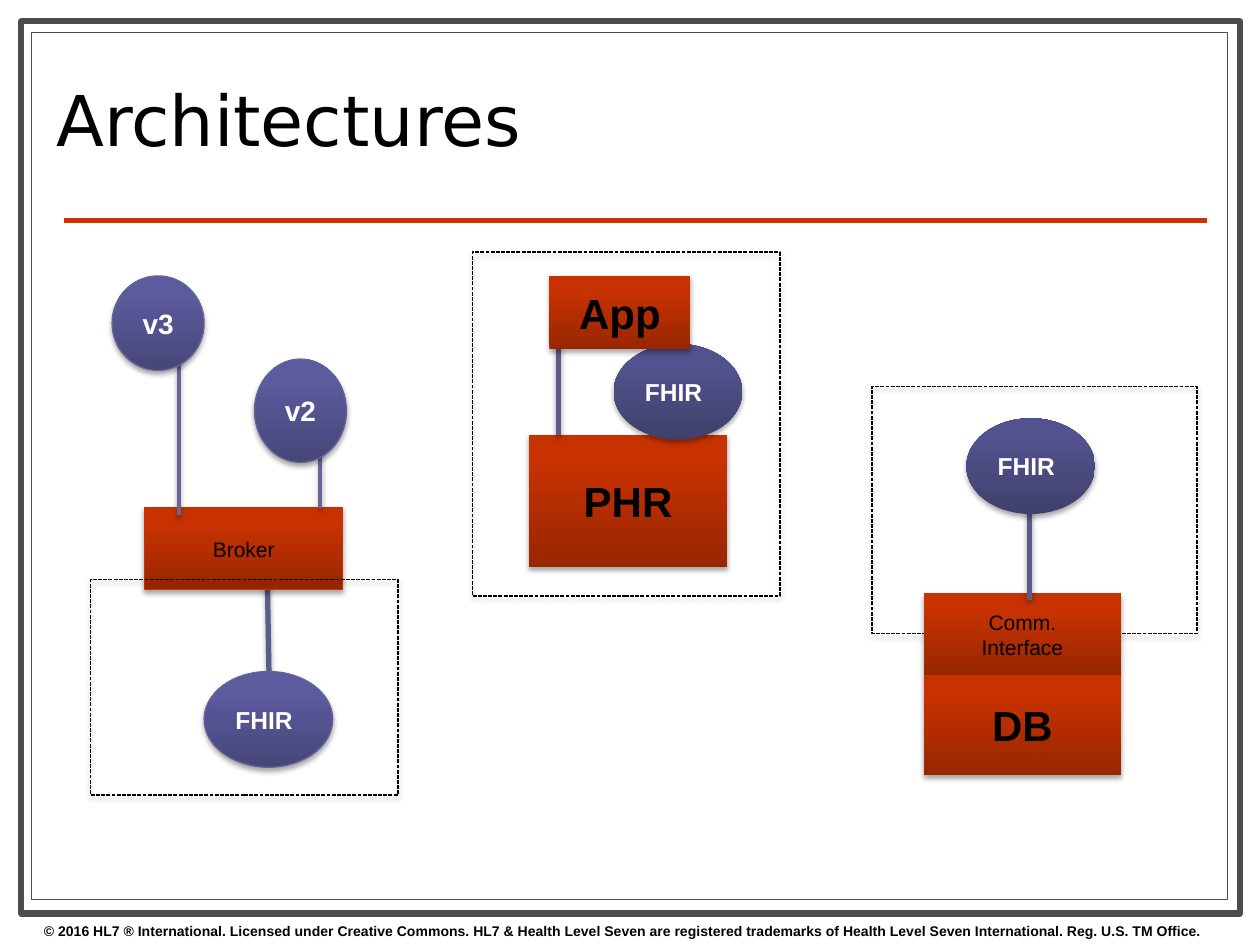
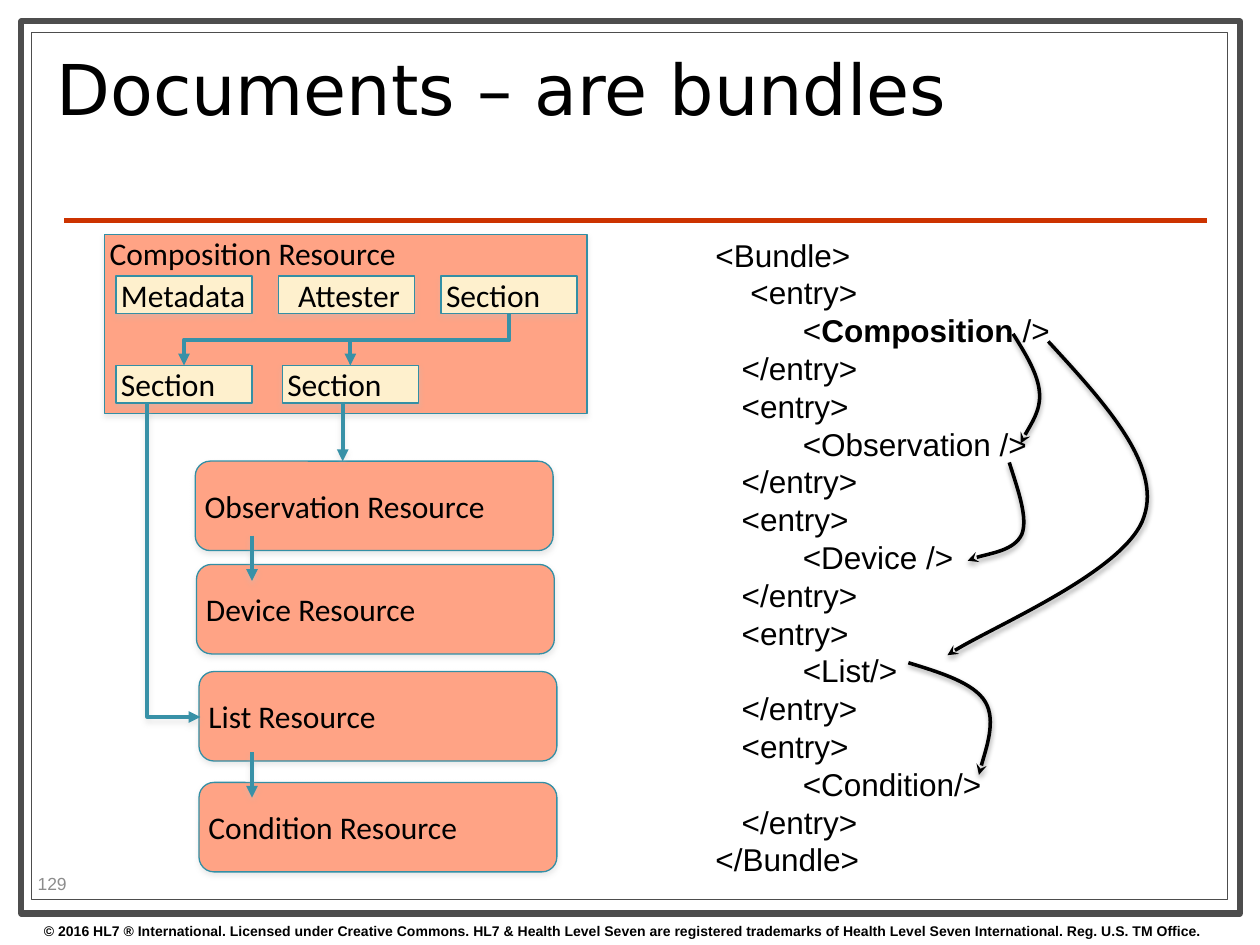
from lxml import etree
from pptx import Presentation
from pptx.dml.color import RGBColor
from pptx.enum.dml import MSO_LINE
from pptx.enum.shapes import MSO_CONNECTOR, MSO_SHAPE
from pptx.enum.text import MSO_ANCHOR, PP_ALIGN
from pptx.oxml.ns import qn
from pptx.util import Inches, Pt

RECT, ROUNDED, OVAL = MSO_SHAPE.RECTANGLE, MSO_SHAPE.ROUNDED_RECTANGLE, MSO_SHAPE.OVAL
STRAIGHT, ELBOW = MSO_CONNECTOR.STRAIGHT, MSO_CONNECTOR.ELBOW
TOP, MIDDLE = MSO_ANCHOR.TOP, MSO_ANCHOR.MIDDLE
LEFT, CENTER = PP_ALIGN.LEFT, PP_ALIGN.CENTER
DASH = MSO_LINE.SQUARE_DOT

BLACK, WHITE, FRAME, RULE = "000000", "FFFFFF", "4D4D4D", "CC3300"
RED = ("982600", "C73200")
BLUE = ("464678", "5B5B9E")
DARK_BLUE = ("40406C", "52528E")
BLUE_EDGE, RED_EDGE, LINK, THIN_LINK = "636397", "C83200", "5C5C8A", "666699"
SALMON, CREAM, TEAL, TEAL_ARROW = "FFA385", "FEF0CD", "338FA5", "3891A7"
GREY_SHADOW, PAGE_NUMBER = "C0C0C0", "8C8C8C"
FOOTER = ("© 2016 HL7 ® International. Licensed under Creative Commons. HL7 & Health Level Seven "
          "are registered trademarks of Health Level Seven International. Reg. U.S. TM Office.")
BUNDLE = """<Bundle>
    <entry>
          <Composition />
   </entry>
   <entry>
          <Observation />
   </entry>
   <entry>
          <Device />
   </entry>
   <entry>
          <List/>
   </entry>
   <entry>
          <Condition/>
   </entry>
</Bundle>"""


def rgb(value):
    return RGBColor.from_string(value)


def set_effects(shape, shadow=None):
    properties = shape._element.spPr
    for old in properties.findall(qn("a:effectLst")):
        properties.remove(old)
    effects = etree.SubElement(properties, qn("a:effectLst"))
    if shadow:
        outer = etree.SubElement(effects, qn("a:outerShdw"), blurRad=str(Pt(3)),
                                 dist=str(Pt(1.75)), dir="5400000", rotWithShape="0")
        color = etree.SubElement(outer, qn("a:srgbClr"), val=shadow)
        etree.SubElement(color, qn("a:alpha"), val="35000")


def set_line(shape, color, width, arrow=None):
    shape.line.color.rgb = rgb(color)
    shape.line.width = Pt(width)
    if arrow:
        etree.SubElement(shape.line._get_or_add_ln(), qn("a:tailEnd"), type=arrow)


def set_fill(shape, fill):
    if fill is None:
        shape.fill.background()
    elif isinstance(fill, str):
        shape.fill.solid()
        shape.fill.fore_color.rgb = rgb(fill)
    else:
        shape.fill.gradient()
        shape.fill.gradient_angle = 90
        for stop, color, position in zip(shape.fill.gradient_stops, fill, (0, 0.8)):
            stop.color.rgb = rgb(color)
            stop.position = position


def write(shape, text, size, font="Arial", color=BLACK, bold=False, align=LEFT, anchor=MIDDLE):
    frame = shape.text_frame
    frame.word_wrap = True
    frame.vertical_anchor = anchor
    frame.text = text
    for para in frame.paragraphs:
        para.alignment = align
        para.font.name = font
        para.font.size = Pt(size)
        para.font.bold = bold
        para.font.color.rgb = rgb(color)
    return frame


def add_box(page, kind, place, fill=None, edge=None, width=0.75, shadow=None):
    shape = page.shapes.add_shape(kind, *map(Inches, place))
    set_fill(shape, fill)
    if edge:
        set_line(shape, edge, width)
    else:
        shape.line.fill.background()
    set_effects(shape, shadow)
    return shape


def add_text(page, place, text, size, **style):
    return write(page.shapes.add_textbox(*map(Inches, place)), text, size, **style)


def add_line(page, start, end, color, width, shadow=None, arrow=None):
    line = page.shapes.add_connector(STRAIGHT, *map(Inches, start + end))
    set_line(line, color, width, arrow)
    set_effects(line, shadow)


def add_elbow(page, upper, lower):
    start_x, start_y = upper.left + upper.width // 2, upper.top + upper.height
    end_x, end_y = lower.left + lower.width // 2, lower.top
    elbow = page.shapes.add_connector(ELBOW, start_x, start_y, end_x, end_y)
    elbow.begin_connect(upper, 2)
    elbow.end_connect(lower, 0)
    across, down = start_x - end_x, end_y - start_y
    elbow.width, elbow.height = down, across
    elbow.left = (start_x + end_x - down) // 2
    elbow.top = (start_y + end_y - across) // 2
    frame = elbow._element.spPr.find(qn("a:xfrm"))
    frame.set("rot", "5400000")
    frame.set("flipH", "0")
    set_line(elbow, TEAL_ARROW, 2.25, "triangle")
    set_effects(elbow)


def add_path(page, points, color, width, arrow, shadow):
    start, *rest = [tuple(map(Inches, point)) for point in points]
    builder = page.shapes.build_freeform(*start)
    builder.add_line_segments(rest, close=False)
    shape = builder.convert_to_shape()
    shape.fill.background()
    set_line(shape, color, width, arrow)
    set_effects(shape, shadow)
    return shape


def add_curve(page, points):
    shape = add_path(page, points, BLACK, 2, "stealth", BLACK)
    segments = list(shape._element.spPr.iter(qn("a:lnTo")))
    outline = segments[0].getparent()
    for index in range(0, len(segments), 3):
        curve = etree.SubElement(outline, qn("a:cubicBezTo"))
        for segment in segments[index:index + 3]:
            curve.append(segment[0])
            outline.remove(segment)


def add_page(deck, title, title_place):
    page = deck.slides.add_slide(deck.slide_layouts[6])
    add_box(page, RECT, (0.17, 0.17, 9.67, 7.08), WHITE, FRAME, 3.5)
    add_box(page, RECT, (0.25, 0.26, 9.49, 6.88), WHITE, FRAME)
    add_line(page, (0.51, 1.75), (9.58, 1.75), RULE, 3)
    add_text(page, (0.25, 7.27, 10, 0.23), FOOTER, 8, bold=True, anchor=TOP)
    heading = add_text(page, title_place, title, 40, font="DejaVu Sans")
    heading.paragraphs[0].line_spacing = 0.8
    return page


def add_system(page, place, text, size=24, edge=None):
    shape = add_box(page, RECT, place, RED, edge, shadow=BLACK)
    write(shape, text, size, bold=size > 12, align=CENTER)


def add_version(page, place, text):
    shape = add_box(page, OVAL, place, BLUE, BLUE_EDGE, shadow=BLACK)
    write(shape, text, 16, color=WHITE, bold=True, align=CENTER)


def add_fhir(page, left, top, fill=DARK_BLUE, edge=None):
    shape = add_box(page, OVAL, (left, top, 1.02, 0.76), fill, edge, shadow=BLACK)
    write(shape, "FHIR", 14, color=WHITE, bold=True)


def add_boundary(page, place):
    shape = add_box(page, RECT, place, edge=BLACK, shadow=BLACK)
    shape.line.dash_style = DASH


def add_resource(page, kind, place, text, fill=SALMON, align=LEFT, anchor=TOP):
    shape = add_box(page, kind, place, fill, TEAL, shadow=GREY_SHADOW)
    frame = write(shape, text, 18, font="Calibri", align=align, anchor=anchor)
    frame.margin_left = Inches(0.04)
    frame.margin_top = frame.margin_right = frame.margin_bottom = 0
    return shape


def add_part(page, left, top, text, align=LEFT):
    return add_resource(page, RECT, (left, top, 1.08, 0.3), text, CREAM, align)


def add_bundle_code(page):
    frame = add_text(page, (5.58, 1.82, 2.88, 5.25), BUNDLE, 18, anchor=TOP)
    frame.word_wrap = False
    para = frame.paragraphs[2]
    name = "Composition"
    before, _, after = para.text.partition(name)
    para.text = before
    for text in (name, after):
        span = para.add_run()
        span.text = text
        span.font.bold = text == name


def build_architectures(deck):
    page = add_page(deck, "Architectures", (0.35, 0.36, 7.17, 1.29))

    add_line(page, (2.14, 5.64), (2.12, 4.47), LINK, 3, BLACK)
    add_fhir(page, 1.62, 5.33, BLUE, BLUE_EDGE)
    add_system(page, (1.15, 4.03, 1.57, 0.65), "Broker", 12, RED_EDGE)
    add_line(page, (1.42, 4.09), (1.42, 2.65), THIN_LINK, 2, BLACK)
    add_version(page, (0.89, 2.19, 0.73, 0.75), "v3")
    add_boundary(page, (0.72, 4.6, 2.44, 1.71))
    add_line(page, (2.54, 4.03), (2.54, 3.35), THIN_LINK, 2, BLACK)
    add_version(page, (2.02, 2.85, 0.73, 0.82), "v2")

    add_system(page, (4.2, 3.45, 1.57, 1.05), "PHR")
    add_line(page, (4.43, 3.45), (4.43, 2.74), LINK, 3, BLACK)
    add_boundary(page, (3.75, 2, 2.44, 2.73))
    add_fhir(page, 4.87, 2.73)
    add_system(page, (4.36, 2.19, 1.12, 0.58), "App")

    add_boundary(page, (6.92, 3.07, 2.58, 1.96))
    add_system(page, (7.33, 4.71, 1.57, 0.65), "Comm.\nInterface", 12)
    add_system(page, (7.33, 5.36, 1.57, 0.79), "DB")
    add_line(page, (8.17, 4.76), (8.17, 3.96), LINK, 3, BLACK)
    add_fhir(page, 7.67, 3.32)


def build_documents(deck):
    page = add_page(deck, "Documents – are bundles", (0.35, 0.36, 7.65, 0.8))
    add_text(page, (0.2, 6.89, 0.79, 0.24), "129", 10, color=PAGE_NUMBER)

    add_resource(page, RECT, (0.83, 1.86, 3.83, 1.42), "Composition Resource")
    for left, top, name in ((1.55, 3.66, "Observation"), (1.56, 4.48, "Device"),
                            (1.58, 5.33, "List"), (1.58, 6.21, "Condition")):
        add_resource(page, ROUNDED, (left, top, 2.84, 0.71), f"{name} Resource", anchor=MIDDLE)
    add_part(page, 0.92, 2.19, "Metadata")
    add_part(page, 2.21, 2.19, "Attester", CENTER)
    parent = add_part(page, 3.5, 2.19, "Section")
    for left in (0.92, 2.24):
        add_elbow(page, parent, add_part(page, left, 2.9, "Section"))

    add_path(page, ((1.17, 3.2), (1.17, 5.69), (1.59, 5.69)),
             TEAL_ARROW, 2.25, "triangle", GREY_SHADOW)
    for x, top, bottom in ((2.72, 3.19, 3.66), (2, 4.25, 4.61), (2, 5.97, 6.33)):
        add_line(page, (x, top), (x, bottom), TEAL_ARROW, 2.25, GREY_SHADOW, "triangle")

    add_bundle_code(page)
    for points in (
        ((8.04, 2.65), (8.14, 2.81), (8.24, 2.97), (8.25, 3.12),
         (8.26, 3.26), (8.13, 3.45), (8.1, 3.52)),
        ((8.32, 2.71), (8.77, 3.2), (9.22, 3.69), (9.08, 4.1),
         (8.95, 4.52), (7.77, 5.02), (7.52, 5.2)),
        ((7.21, 5.26), (7.47, 5.34), (7.73, 5.42), (7.82, 5.57),
         (7.91, 5.72), (7.78, 6.09), (7.77, 6.15)),
        ((8.01, 3.67), (8.08, 3.89), (8.16, 4.11), (8.11, 4.24),
         (8.05, 4.37), (7.75, 4.41), (7.68, 4.45)),
    ):
        add_curve(page, points)


def main():
    deck = Presentation()
    deck.slide_width, deck.slide_height = Inches(10), Inches(7.5)
    build_architectures(deck)
    build_documents(deck)
    deck.save("out.pptx")


if __name__ == "__main__":
    main()
